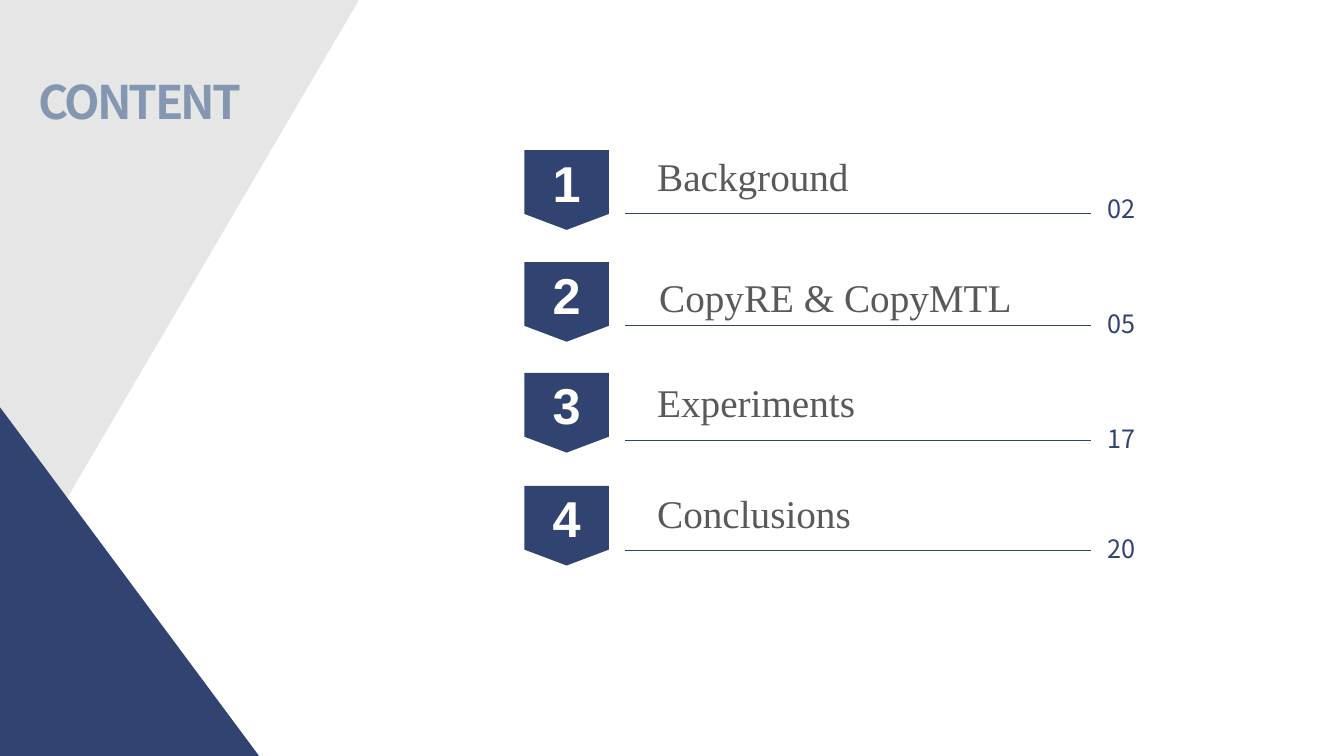
import pptx
import pptx.dml.color
import pptx.enum.shapes
import pptx.enum.text
import pptx.util
from pptx.util import Inches
from lxml import etree

NAVY, GREY, SLATE, TEXT = "314371", "E7E6E6", "8497B0", "595959"
SERIF, SANS = "Times New Roman", "Noto Sans CJK SC"
WIDTH, HEIGHT = 13.33, 7.5


def color(value):
    return pptx.dml.color.RGBColor.from_string(value)


def add_text(shape, text, size, font, value, bold=False):
    paragraph = shape.text_frame.paragraphs[0]
    run = paragraph.add_run()
    run.text = text
    run.font.size = pptx.util.Pt(size)
    run.font.name = font
    run.font.bold = bold
    run.font.color.rgb = color(value)
    return paragraph, run


presentation = pptx.Presentation()
presentation.slide_width = Inches(WIDTH)
presentation.slide_height = Inches(HEIGHT)
slide = presentation.slides.add_slide(presentation.slide_layouts[5])

triangles = [
    (GREY, [(0, 0), (3.56, 0), (0, 6.08)]),
    (NAVY, [(0, HEIGHT), (2.57, HEIGHT), (0, 4.04)]),
]
for fill, corners in triangles:
    points = [(Inches(x), Inches(y)) for x, y in corners]
    builder = slide.shapes.build_freeform(*points[0])
    builder.add_line_segments(points[1:], close=True)
    triangle = builder.convert_to_shape()
    triangle.shadow.inherit = False
    triangle.fill.solid()
    triangle.fill.fore_color.rgb = color(fill)
    triangle.line.fill.background()

title = slide.shapes.title
title.left, title.top = Inches(0.22), Inches(0.65)
title.width, title.height = Inches(3), Inches(0.71)
frame = title.text_frame
frame.margin_left = frame.margin_right = Inches(0.16)
frame.margin_top = frame.margin_bottom = Inches(0.08)
frame.vertical_anchor = pptx.enum.text.MSO_ANCHOR.TOP
frame.word_wrap = True
frame.auto_size = pptx.enum.text.MSO_AUTO_SIZE.SHAPE_TO_FIT_TEXT
paragraph, run = add_text(title, "CONTENT", 33, SANS, SLATE, True)
paragraph.alignment = pptx.enum.text.PP_ALIGN.LEFT
run.font._element.set("spc", "-190")
slide.shapes._spTree.append(title._element)

BADGE_LEFT, LINE_LEFT, LINE_RIGHT, PAGE_LEFT = 5.2, 6.2, 10.82, 10.89
chapters = [
    ("Background", "02", 1.49, 2.12, 1.87, (6.42, 1.46, 2.12)),
    ("CopyRE & CopyMTL", "05", 2.6, 3.23, 3.01, (6.44, 2.66, 3.73)),
    ("Experiments", "17", 3.7, 4.37, 4.15, (6.42, 3.7, 2.18)),
    ("Conclusions", "20", 4.82, 5.46, 5.24, (6.42, 4.81, 2.14)),
]
for number, chapter in enumerate(chapters, 1):
    name, page, badge_top, line_top, page_top, (name_left, name_top, name_width) = chapter

    badge = slide.shapes.add_shape(
        pptx.enum.shapes.MSO_SHAPE.FLOWCHART_OFFPAGE_CONNECTOR,
        Inches(BADGE_LEFT), Inches(badge_top), Inches(0.84), Inches(0.79))
    badge.shadow.inherit = False
    badge.fill.solid()
    badge.fill.fore_color.rgb = color(NAVY)
    badge.line.fill.background()
    badge.text_frame.vertical_anchor = pptx.enum.text.MSO_ANCHOR.MIDDLE
    paragraph, run = add_text(badge, str(number), 36, "Arial", "FFFFFF", True)
    paragraph.alignment = pptx.enum.text.PP_ALIGN.CENTER

    underline = slide.shapes.add_connector(
        pptx.enum.shapes.MSO_CONNECTOR.STRAIGHT,
        Inches(LINE_LEFT), Inches(line_top), Inches(LINE_RIGHT), Inches(line_top))
    underline.line.color.rgb = color(NAVY)
    underline.line.width = pptx.util.Pt(1)
    etree.SubElement(underline._element.spPr, pptx.oxml.ns.qn("a:effectLst"))

    labels = [
        (name, name_left, name_top, name_width, 0.57, 28, SERIF, TEXT),
        (page, PAGE_LEFT, page_top, 0.5, 0.4, 18, SANS, NAVY),
    ]
    for text, left, top, width, height, size, font, value in labels:
        label = slide.shapes.add_textbox(
            Inches(left), Inches(top), Inches(width), Inches(height))
        label.text_frame.word_wrap = False
        label.text_frame.auto_size = pptx.enum.text.MSO_AUTO_SIZE.SHAPE_TO_FIT_TEXT
        add_text(label, text, size, font, value)

presentation.save("out.pptx")
